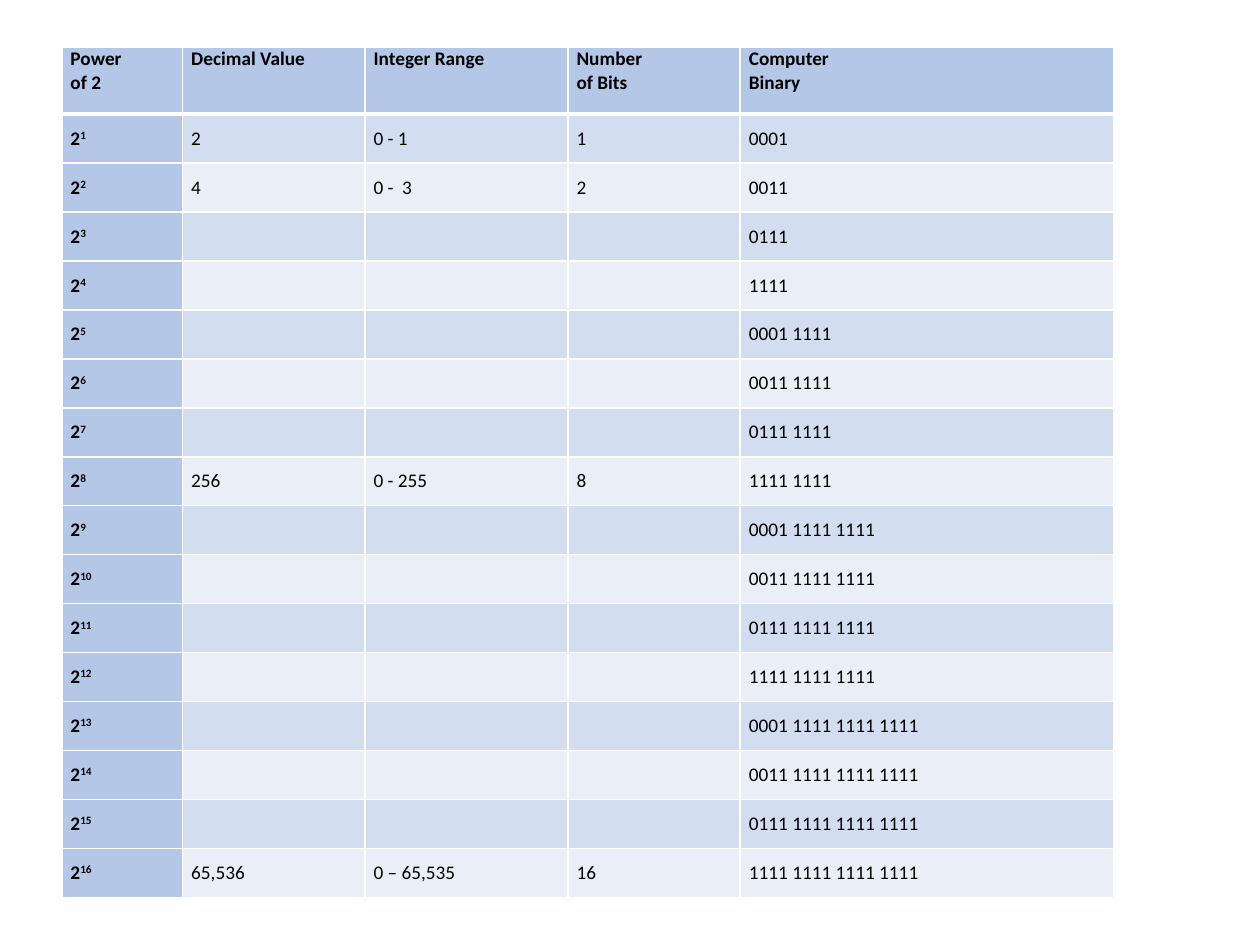
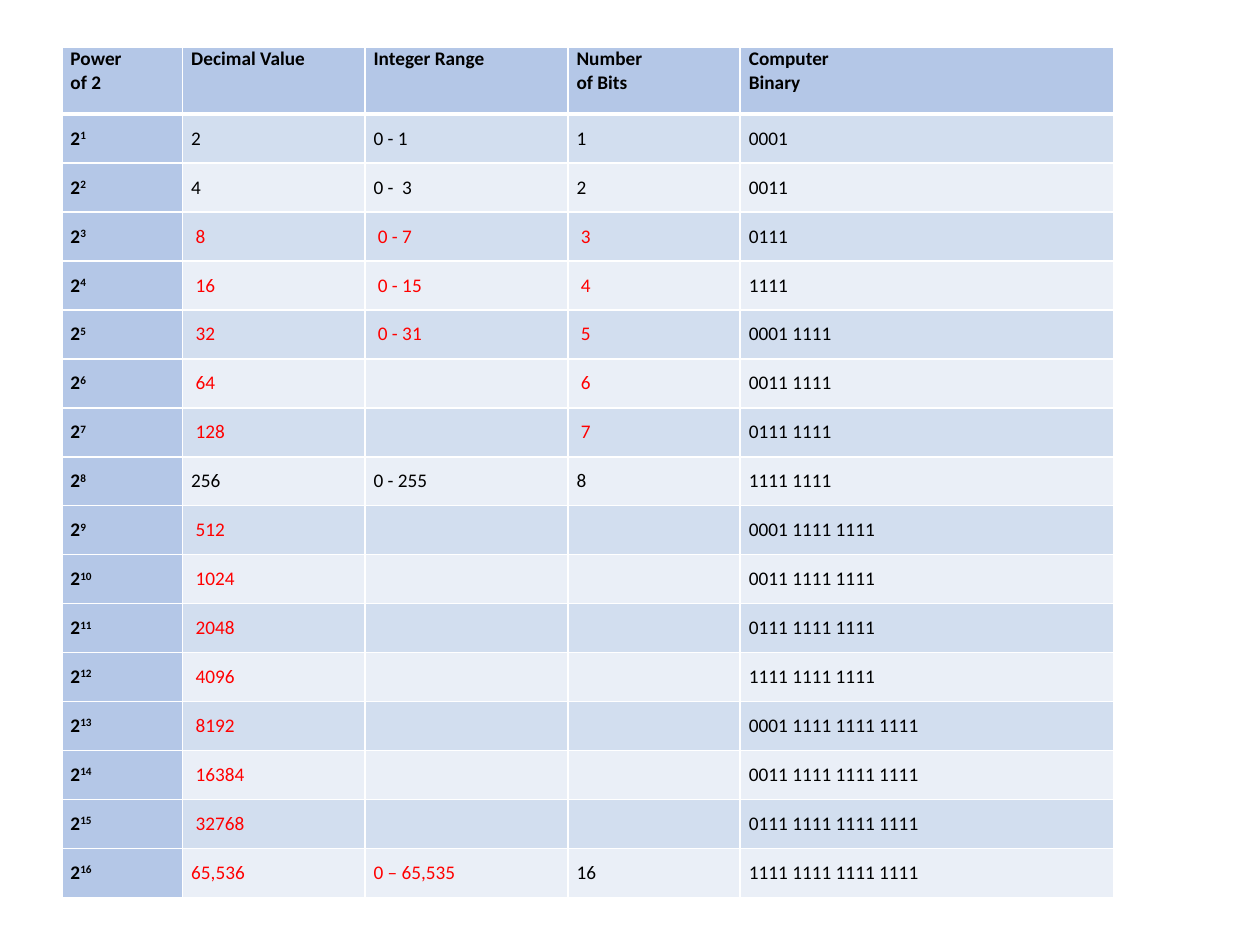
import math
from dataclasses import dataclass

import pptx
import pptx.dml.color
import pptx.enum.text
import pptx.oxml
import pptx.oxml.ns
import pptx.util
from pptx.util import Pt

COLORS = {
    "heading": "B4C7E7",
    "odd_row": "D2DEEF",
    "even_row": "EAEFF7",
    "grid": "FFFFFF",
    "text": "000000",
    "answer": "FF0000",
}
FONT = "Calibri"
NBSP = " "
HEADINGS = ("Power \nof 2", "Decimal Value", "Integer Range", "Number \nof Bits", "Computer\nBinary")
COLUMN_WIDTHS = (69, 104.2, 116, 98.5, 213.5)
TABLE_LEFT, TABLE_TOP = 35.3, 26.8
HEADING_HEIGHT, ROW_HEIGHT = 38.4, 28
HIGHEST_POWER = 16
GRID_WIDTH, HEADING_RULE_WIDTH = 1, 3


@dataclass(frozen=True)
class Entry:
    text: str
    color: str = "text"


GIVEN = {
    1: ("2", "0 - 1", "1"),
    2: ("4", "0 -  3", "2"),
    8: ("256", "0 - 255", "8"),
    16: ("65,536", "0 – 65,535", "16"),
}


def computer_binary(power: int) -> str:
    """Return a run of ones, zero-padded and grouped in fours."""
    digits = ("1" * power).zfill(4 * math.ceil(power / 4))
    return " ".join(digits[i:i + 4] for i in range(0, len(digits), 4))


def answer_entries(power: int) -> list[Entry]:
    """Return the worked answers, leaving later ranges and bits open."""
    value = 2 ** power
    answers = (
        str(value),
        f"0 - {value - 1}" if power <= 5 else "",
        str(power) if power <= 7 else "",
    )
    return [Entry(NBSP + answer if answer else "", "answer") for answer in answers]


def row_entries(power: int, solved: bool) -> list[Entry]:
    if power not in GIVEN:
        middle = answer_entries(power) if solved else [Entry("")] * 3
    else:
        middle = [Entry(text) for text in GIVEN[power]]
        if solved and power == HIGHEST_POWER:
            middle[:2] = [Entry(entry.text, "answer") for entry in middle[:2]]
    return middle + [Entry(computer_binary(power))]


def write_text(paragraph, text: str, *, color: str = "text", bold: bool = False,
               superscript: bool = False) -> None:
    for index, line in enumerate(text.split("\n")):
        if index:
            paragraph.add_line_break()
        run = paragraph.add_run()
        run.text = line
        run.font.name = FONT
        run.font.size = Pt(11)
        run.font.bold = bold
        run.font.color.rgb = pptx.dml.color.RGBColor.from_string(COLORS[color])
        if superscript:
            run.font._element.set("baseline", "30000")


def add_border(cell, side: str, width: float) -> None:
    namespace = pptx.oxml.ns.nsdecls("a")
    cell._tc.get_or_add_tcPr().append(pptx.oxml.parse_xml(
        f'<a:ln{side} {namespace} w="{Pt(width)}"><a:solidFill>'
        f'<a:srgbClr val="{COLORS["grid"]}"/></a:solidFill></a:ln{side}>'))


def format_cell(cell, fill: str, row: int) -> None:
    cell.margin_left = cell.margin_right = Pt(5)
    cell.margin_top = cell.margin_bottom = 0
    anchor = pptx.enum.text.MSO_ANCHOR
    cell.vertical_anchor = anchor.MIDDLE if row else anchor.TOP
    heavy_side = {0: "B", 1: "T"}.get(row)
    for side in "LRTB":
        add_border(cell, side, HEADING_RULE_WIDTH if side == heavy_side else GRID_WIDTH)
    cell.fill.solid()
    cell.fill.fore_color.rgb = pptx.dml.color.RGBColor.from_string(COLORS[fill])


def add_powers_table(slide, solved: bool) -> None:
    powers = slide.shapes.add_table(
        HIGHEST_POWER + 1, len(HEADINGS), Pt(TABLE_LEFT), Pt(TABLE_TOP),
        Pt(sum(COLUMN_WIDTHS)), Pt(HEADING_HEIGHT + HIGHEST_POWER * ROW_HEIGHT)).table
    powers.first_row = powers.horz_banding = False
    for column, width in zip(powers.columns, COLUMN_WIDTHS):
        column.width = Pt(width)
    for index, row in enumerate(powers.rows):
        row.height = Pt(ROW_HEIGHT if index else HEADING_HEIGHT)

    for column, heading in enumerate(HEADINGS):
        cell = powers.cell(0, column)
        format_cell(cell, "heading", 0)
        write_text(cell.text_frame.paragraphs[0], heading, bold=True)

    for power in range(1, HIGHEST_POWER + 1):
        power_cell = powers.cell(power, 0)
        format_cell(power_cell, "heading", power)
        paragraph = power_cell.text_frame.paragraphs[0]
        write_text(paragraph, "2", bold=True)
        write_text(paragraph, str(power), bold=True, superscript=True)
        band = "odd_row" if power % 2 else "even_row"
        for column, entry in enumerate(row_entries(power, solved), start=1):
            cell = powers.cell(power, column)
            format_cell(cell, band, power)
            if entry.text:
                write_text(cell.text_frame.paragraphs[0], entry.text, color=entry.color)


def main() -> None:
    presentation = pptx.Presentation()
    presentation.slide_width, presentation.slide_height = Pt(720), Pt(540)
    blank_layout = presentation.slide_layouts[6]
    for solved in (False, True):
        add_powers_table(presentation.slides.add_slide(blank_layout), solved)
    presentation.save("out.pptx")


if __name__ == "__main__":
    main()
